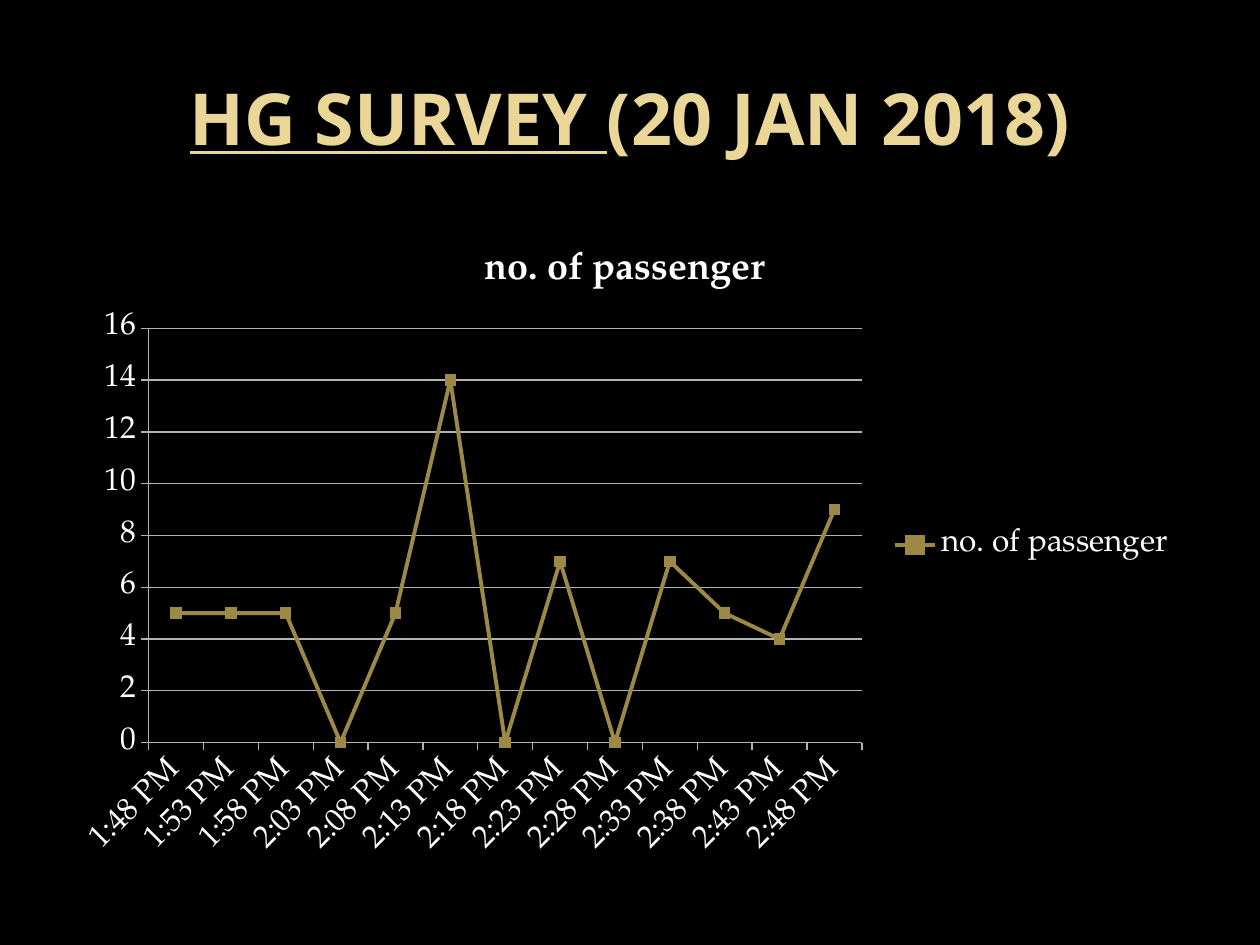
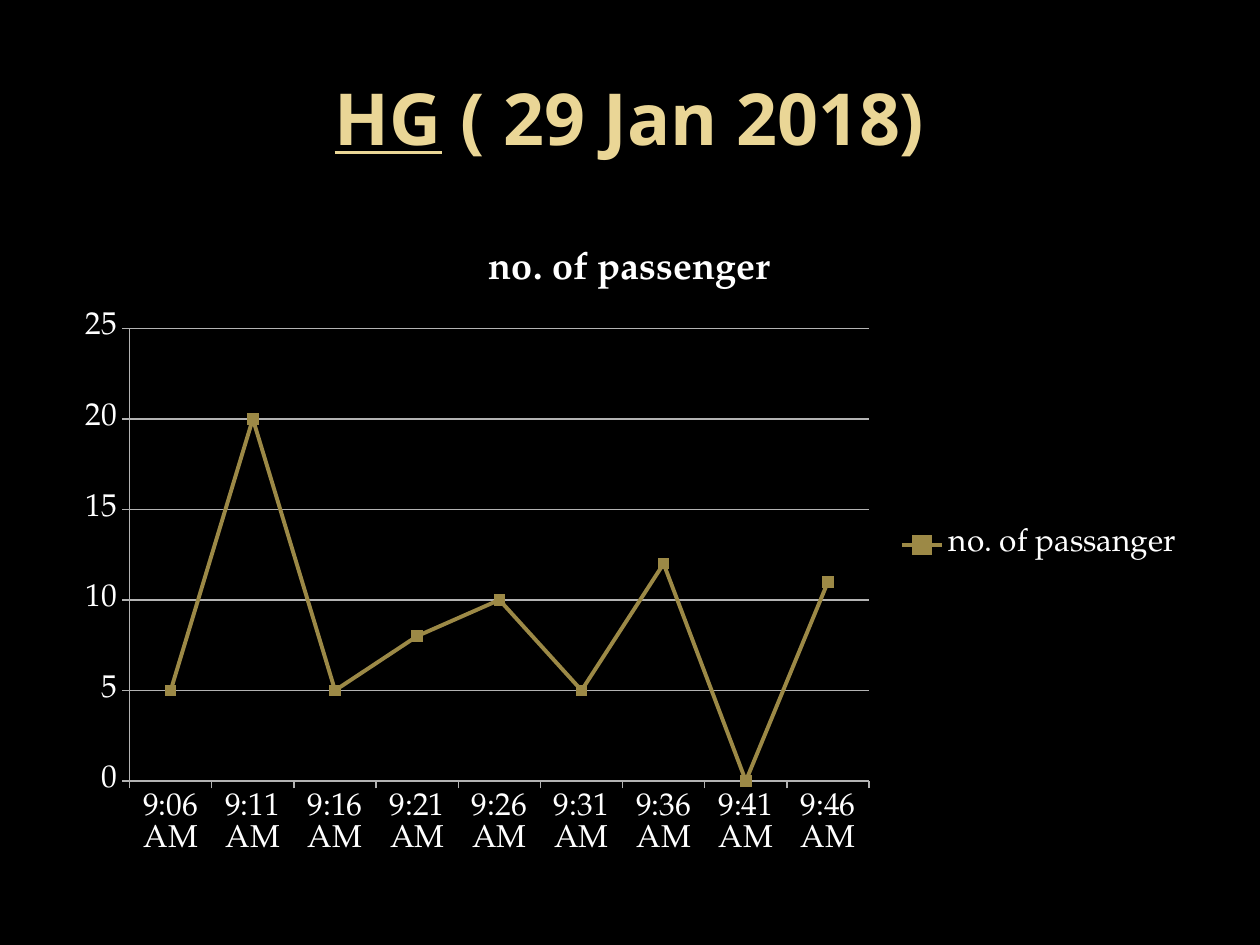
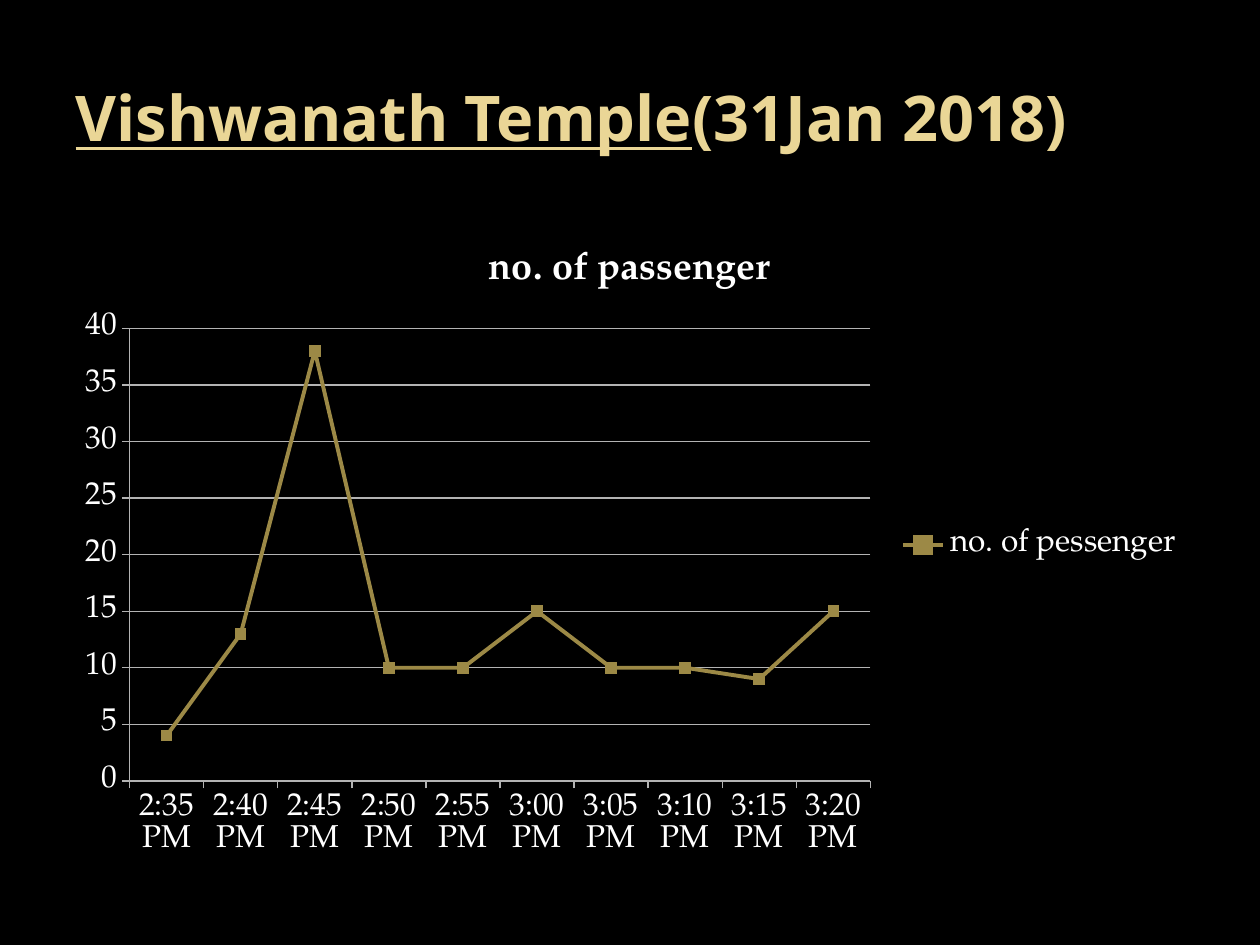
from dataclasses import dataclass

from pptx import Presentation
from pptx.chart.data import CategoryChartData
from pptx.dml.color import RGBColor
from pptx.enum.chart import XL_CHART_TYPE, XL_LEGEND_POSITION, XL_MARKER_STYLE, XL_TICK_MARK
from pptx.enum.text import MSO_ANCHOR, MSO_AUTO_SIZE, PP_ALIGN
from pptx.util import Inches, Pt


@dataclass(frozen=True)
class Theme:
    """Colours, fonts and type sizes shared by all slides."""
    background: RGBColor = RGBColor(0x00, 0x00, 0x00)
    title: RGBColor = RGBColor(0xEA, 0xD6, 0x96)
    text: RGBColor = RGBColor(0xFF, 0xFF, 0xFF)
    grid: RGBColor = RGBColor(0xB3, 0xB3, 0xB3)
    series: RGBColor = RGBColor(0x9C, 0x89, 0x46)
    title_font: str = "Open Sans"
    chart_font: str = "TeX Gyre Pagella"
    title_size: float = 41
    long_title_size: float = 36
    chart_size: float = 18
    chart_title_size: float = 21.6


THEME = Theme()
WIDTH, HEIGHT = Inches(10), Inches(7.5)
MARGIN = Inches(0.5)
CONTENT_WIDTH = WIDTH - 2 * MARGIN
TITLE_BOX = (MARGIN, Inches(0.3), CONTENT_WIDTH, Inches(1.25))
CHART_BOX = (MARGIN, Inches(1.75), CONTENT_WIDTH, Inches(5.15))
STEP_MINUTES = 5


def clock_labels(hour, minute, count):
    """Return count clock times, five minutes apart."""
    labels = []
    for i in range(count):
        h, m = divmod(hour * 60 + minute + i * STEP_MINUTES, 60)
        labels.append(f"{(h - 1) % 12 + 1}:{m:02d} {'PM' if h >= 12 else 'AM'}")
    return labels


def add_title(s, place, date, size=THEME.title_size, align=PP_ALIGN.CENTER):
    """Fill the title with an underlined place and a plain date."""
    sp = s.shapes.title
    sp.left, sp.top, sp.width, sp.height = TITLE_BOX
    tf = sp.text_frame
    tf.word_wrap = True
    tf.auto_size = MSO_AUTO_SIZE.NONE
    tf.vertical_anchor = MSO_ANCHOR.MIDDLE
    p = tf.paragraphs[0]
    p.alignment = align
    for text, underline in ((place, True), (date, False)):
        r = p.add_run()
        r.text = text
        r.font.name = THEME.title_font
        r.font.size = Pt(size)
        r.font.bold = True
        r.font.underline = underline
        r.font.color.rgb = THEME.title


def style_font(font, size=THEME.chart_size, bold=False):
    """Apply the chart typeface to a font."""
    font.name = THEME.chart_font
    font.size = Pt(size)
    font.bold = bold
    font.color.rgb = THEME.text


def style_line(line, color, width):
    """Give a line a solid colour and a width in points."""
    line.color.rgb = color
    line.width = Pt(width)


def style_axis(axis, gridlines, label_angle=0):
    """Format an axis, its grid and its labels."""
    axis.major_tick_mark = XL_TICK_MARK.OUTSIDE
    style_line(axis.format.line, THEME.grid, 0.75)
    axis.has_major_gridlines = gridlines
    if gridlines:
        style_line(axis.major_gridlines.format.line, THEME.grid, 0.75)
    style_font(axis.tick_labels.font)
    for body in axis._element.xpath("c:txPr/a:bodyPr"):
        body.set("rot", str(label_angle * 60000))
        body.set("vert", "horz")


def style_series(series):
    """Draw a straight line with square markers."""
    series.smooth = False
    style_line(series.format.line, THEME.series, 2.25)
    marker = series.marker
    marker.style = XL_MARKER_STYLE.SQUARE
    marker.size = 6
    marker.format.fill.solid()
    marker.format.fill.fore_color.rgb = THEME.series
    style_line(marker.format.line, THEME.series, 0.75)


def add_passenger_chart(s, start, values, title, name, label_angle=0):
    """Add a line chart of passengers counted from a start time."""
    data = CategoryChartData(number_format="General")
    data.categories = clock_labels(*start, len(values))
    data.add_series(name, values)
    chart = s.shapes.add_chart(XL_CHART_TYPE.LINE_MARKERS, *CHART_BOX, data).chart
    style_font(chart.font)
    chart.has_title = True
    tf = chart.chart_title.text_frame
    tf.text = title
    style_font(tf.paragraphs[0].runs[0].font, THEME.chart_title_size, True)
    chart.chart_title.include_in_layout = False
    chart.has_legend = True
    chart.legend.position = XL_LEGEND_POSITION.RIGHT
    chart.legend.include_in_layout = False
    style_font(chart.legend.font)
    style_axis(chart.category_axis, False, label_angle)
    style_axis(chart.value_axis, True)
    plot = chart.plots[0]
    plot.vary_by_categories = False
    style_series(plot.series[0])


def main():
    """Build the three survey slides."""
    prs = Presentation()
    prs.slide_width, prs.slide_height = WIDTH, HEIGHT
    fill = prs.slide_master.background.fill
    fill.solid()
    fill.fore_color.rgb = THEME.background
    layout = prs.slide_layouts.get_by_name("Title Only")

    s = prs.slides.add_slide(layout)
    add_title(s, "HG SURVEY ", "(20 JAN 2018)")
    add_passenger_chart(s, (13, 48), (5, 5, 5, 0, 5, 14, 0, 7, 0, 7, 5, 4, 9),
                        "no. of passenger ", "no. of passenger ", label_angle=-45)

    s = prs.slides.add_slide(layout)
    add_title(s, "HG", " ( 29 Jan 2018)")
    add_passenger_chart(s, (9, 6), (5, 20, 5, 8, 10, 5, 12, 0, 11),
                        "no. of passenger", "no. of passanger")

    s = prs.slides.add_slide(layout)
    add_title(s, "Vishwanath Temple", "(31Jan 2018)", THEME.long_title_size, PP_ALIGN.LEFT)
    add_passenger_chart(s, (14, 35), (4, 13, 38, 10, 10, 15, 10, 10, 9, 15),
                        "no. of passenger", "no. of pessenger")

    prs.save("out.pptx")


main()
